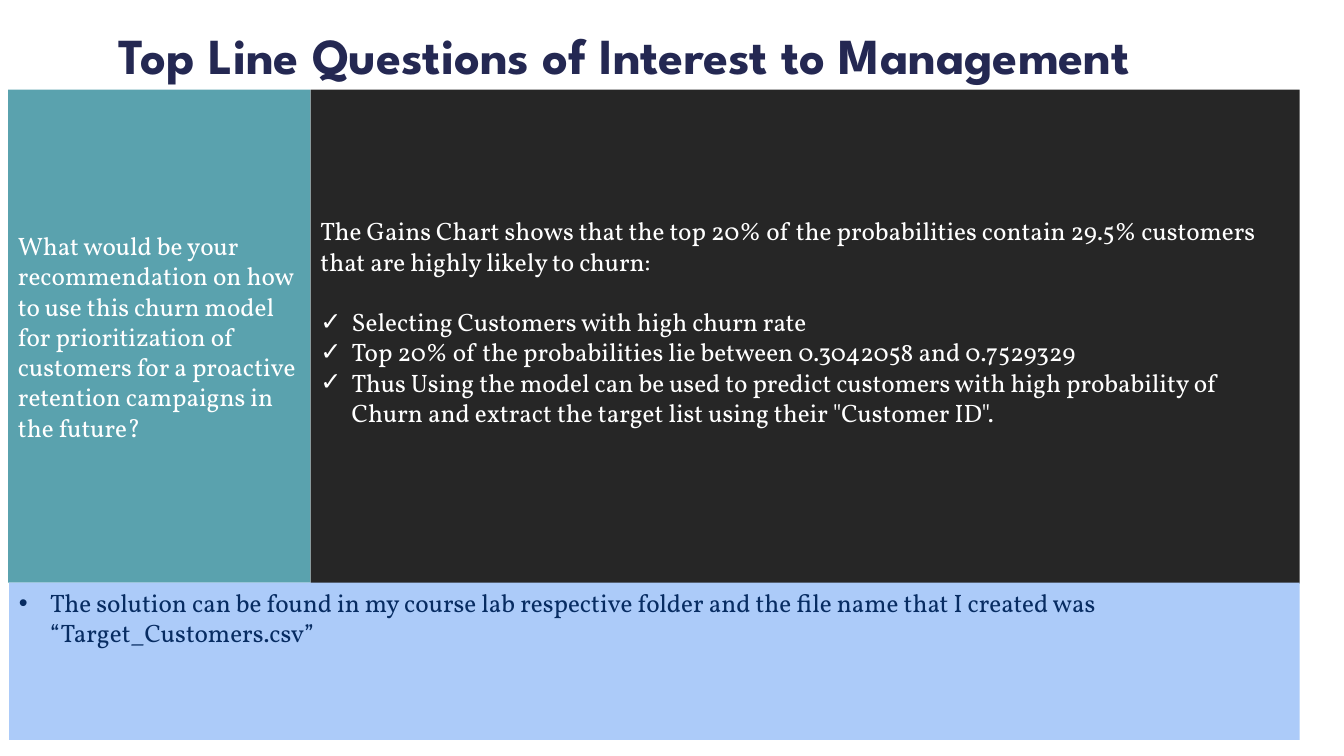
from dataclasses import dataclass

from lxml import etree
from pptx import Presentation
from pptx.dml.color import RGBColor
from pptx.enum.shapes import MSO_SHAPE
from pptx.enum.text import MSO_ANCHOR, MSO_AUTO_SIZE, PP_ALIGN
from pptx.oxml.ns import qn
from pptx.util import Pt

EMU_PER_PX = 9144  # 100 px to the inch
RECTANGLE = MSO_SHAPE.RECTANGLE
TOP, MIDDLE, BOTTOM = MSO_ANCHOR.TOP, MSO_ANCHOR.MIDDLE, MSO_ANCHOR.BOTTOM
LEFT = PP_ALIGN.LEFT
NO_AUTOFIT = MSO_AUTO_SIZE.NONE


@dataclass(frozen=True)
class Theme:
    heading_font: str = "League Spartan"
    body_font: str = "Vollkorn"
    bullet_font: str = "Arial"
    heading_size: int = 36
    body_size: int = 18
    heading: str = "242852"
    question: str = "5AA2AE"
    answer: str = "000000"
    note: str = "ACCBF9"
    note_text: str = "072C62"
    light_text: str = "FFFFFF"


def px(length):
    return length * EMU_PER_PX


def add_bullet(para, character, font, indent):
    properties = para._p.get_or_add_pPr()
    properties.set("marL", str(px(indent)))
    properties.set("indent", str(-px(indent)))
    etree.SubElement(properties, qn("a:buFont"), typeface=font)
    etree.SubElement(properties, qn("a:buChar"), char=character)


def write(para, text, *, font, size, color, bold=False, line_spacing=None, space_before=0):
    para.alignment = LEFT
    para.space_before = px(space_before)
    if line_spacing:
        para.line_spacing = line_spacing
    span = para.add_run()
    span.text = text
    span.font.name = font
    span.font.size = Pt(size)
    span.font.bold = bold
    span.font.color.rgb = RGBColor.from_string(color)


class SlideBuilder:
    def __init__(self, deck, theme):
        self.theme = theme
        self.page = deck.slides.add_slide(deck.slide_layouts[5])

    def title(self, text, left, top, width, height):
        box = self.page.shapes.title
        box.left, box.top, box.width, box.height = map(px, (left, top, width, height))
        frame = box.text_frame
        frame.auto_size = NO_AUTOFIT
        frame.word_wrap = True
        frame.vertical_anchor = BOTTOM
        write(frame.paragraphs[0], text, font=self.theme.heading_font,
              size=self.theme.heading_size, color=self.theme.heading,
              bold=True, line_spacing=0.8)

    def panel(self, left, top, width, height, *, fill, opacity=100, anchor=TOP, top_inset=5):
        """Add a filled rectangle and return its text frame."""
        box = self.page.shapes.add_shape(RECTANGLE, *map(px, (left, top, width, height)))
        box.shadow.inherit = False
        box.line.fill.background()
        box.fill.solid()
        box.fill.fore_color.rgb = RGBColor.from_string(fill)
        if opacity < 100:
            fill_color = box._element.spPr.find(qn("a:solidFill"))[0]
            etree.SubElement(fill_color, qn("a:alpha"), val=str(opacity * 1000))
        frame = box.text_frame
        frame.word_wrap = True
        frame.vertical_anchor = anchor
        frame.margin_top = px(top_inset)
        return frame

    def body(self, frame, text, *, color, bullet=None, space_before=0):
        """Write into the empty first paragraph, or into a new one."""
        first = frame.paragraphs[0]
        para = frame.add_paragraph() if first.runs else first
        if bullet:
            add_bullet(para, bullet, self.theme.bullet_font, indent=31)
        write(para, text, font=self.theme.body_font, size=self.theme.body_size,
              color=color, space_before=space_before)


def main():
    deck = Presentation()
    deck.slide_width, deck.slide_height = px(1333), px(750)
    theme = Theme()
    slide = SlideBuilder(deck, theme)

    slide.title("Top Line Questions of Interest to Management", 108, 14, 1150, 75)

    question = slide.panel(8, 89, 300, 489, fill=theme.question, anchor=MIDDLE)
    slide.body(question, "What would be your recommendation on how to use this churn model "
               "for prioritization of customers for a proactive retention campaigns "
               "in the future?", color=theme.light_text)

    answer = slide.panel(308, 89, 981, 490, fill=theme.answer, opacity=85, top_inset=125)
    slide.body(answer, "The Gains Chart shows that the top 20% of the probabilities contain "
               "29.5% customers that are highly likely to churn:", color=theme.light_text)
    findings = (
        "Selecting Customers with high churn rate",
        "Top 20% of the probabilities lie between 0.3042058 and 0.7529329",
        "Thus Using the model can be used to predict customers with high probability of "
        "Churn and extract the target list using their \"Customer ID\".",
    )
    for index, finding in enumerate(findings):
        slide.body(answer, finding, color=theme.light_text, bullet="✓",
                   space_before=0 if index else 30)

    note = slide.panel(9, 578, 1280, 156, fill=theme.note)
    slide.body(note, "The solution can be found in my course lab respective folder and the "
               "file name that I created was “Target_Customers.csv”",
               color=theme.note_text, bullet="•")

    deck.save("out.pptx")


if __name__ == "__main__":
    main()
